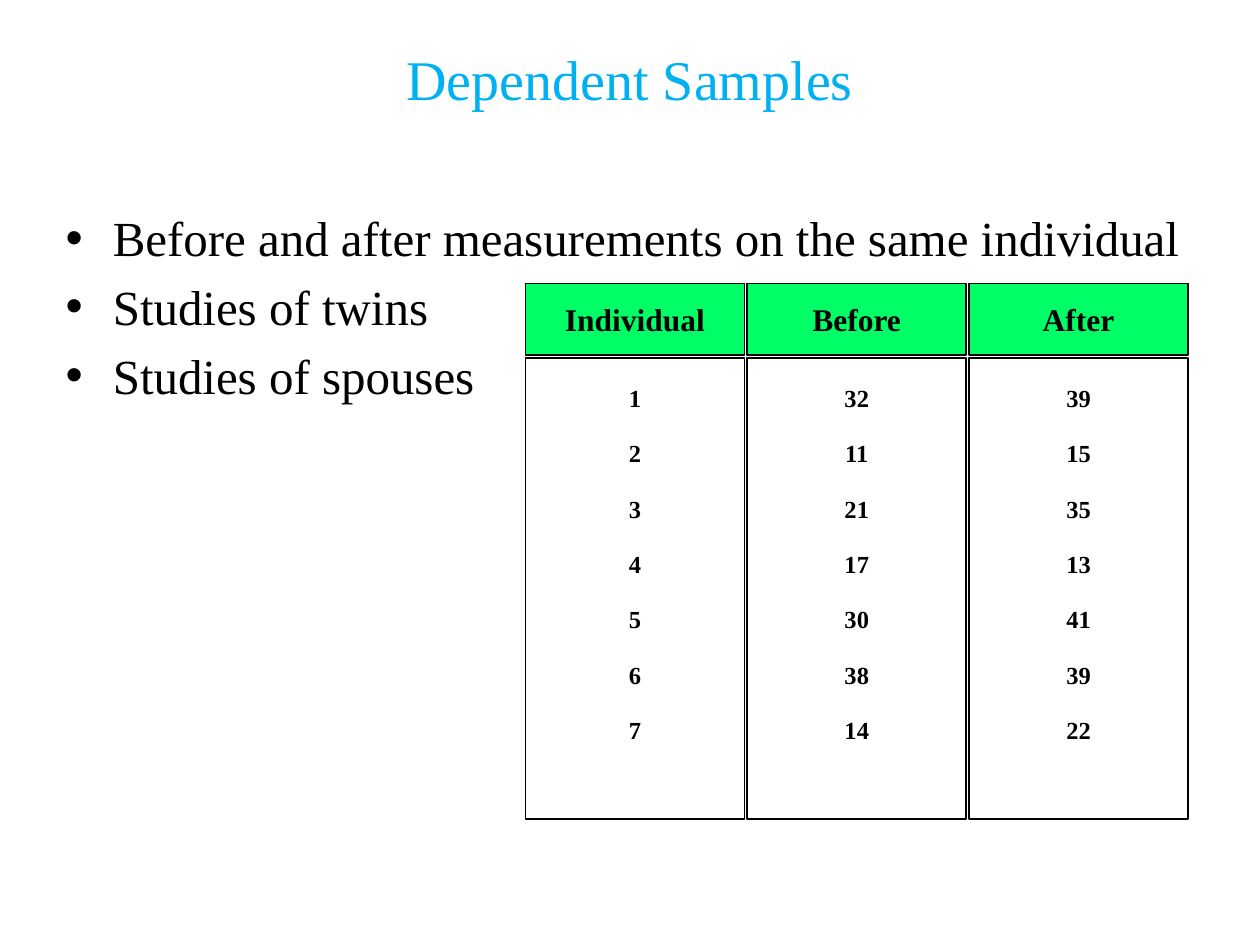
from pptx import Presentation
from pptx.dml.color import RGBColor
from pptx.enum.shapes import MSO_SHAPE as Shape
from pptx.enum.text import MSO_ANCHOR as Anchor, MSO_AUTO_SIZE as Fit, PP_ALIGN as Align
from pptx.util import Inches, Pt

BLACK = RGBColor(0x00, 0x00, 0x00)
WHITE = RGBColor(0xFF, 0xFF, 0xFF)
GREEN = RGBColor(0x00, 0xFF, 0x66)
BLUE = RGBColor(0x00, 0xB0, 0xF0)
FACE = "Times New Roman"

TITLE = "Dependent Samples"
POINTS = [
    "Before and after measurements on the same individual",
    "Studies of twins",
    "Studies of spouses",
]
DATA = {
    "Individual": [1, 2, 3, 4, 5, 6, 7],
    "Before": [32, 11, 21, 17, 30, 38, 14],
    "After": [39, 15, 35, 13, 41, 39, 22],
}
LEFT, STEP, WIDTH = 4.17, 1.76, 1.74
HEAD_TOP, HEAD_HIGH = 2.25, 0.57
BODY_TOP, BODY_HIGH = 2.84, 3.66

HEAD = {"size": Pt(18), "bold": True}
CELL = {"size": Pt(14), "bold": True}


def apply(item, form):
    """Set each attribute named in form on item."""
    for name, value in form.items():
        setattr(item, name, value)


def write(frame, lines, font, para, color=BLACK):
    """Fill a text frame with one paragraph per line."""
    frame.text = "\n".join(str(line) for line in lines)
    for item in frame.paragraphs:
        apply(item, para)
        for run in item.runs:
            apply(run.font, {"name": FACE, **font})
            run.font.color.rgb = color


def margins(side, top):
    """Return frame margins for the given side and top insets."""
    return {
        "margin_left": Inches(side),
        "margin_right": Inches(side),
        "margin_top": Inches(top),
        "margin_bottom": Inches(top),
    }


def fill_holder(holder, box, lines, font, para, color=BLACK):
    """Move a placeholder to box and write its text."""
    apply(holder, dict(zip(("left", "top", "width", "height"), map(Inches, box))))
    frame = holder.text_frame
    form = {"vertical_anchor": Anchor.TOP, "auto_size": Fit.NONE, "word_wrap": True}
    apply(frame, {**form, **margins(0.1, 0.1)})
    write(frame, lines, font, para, color)


def add_panel(group, box, fill, lines, font, gap, form):
    """Add one outlined panel of centred text to the group."""
    panel = group.shapes.add_shape(Shape.RECTANGLE, *map(Inches, box))
    panel.shadow.inherit = False
    panel.fill.solid()
    panel.fill.fore_color.rgb = fill
    panel.line.color.rgb = BLACK
    panel.line.width = Pt(1)
    apply(panel.text_frame, {"word_wrap": True, **form})
    write(panel.text_frame, lines, font, {"alignment": Align.CENTER, "space_before": gap})


def add_grid(slide):
    """Add a header panel and a value panel for each data column."""
    group = slide.shapes.add_group_shape()
    head = {"vertical_anchor": Anchor.MIDDLE, **margins(0.1, 0.05)}
    body = {"vertical_anchor": Anchor.TOP, **margins(0.2, 0.2)}
    for index, (name, values) in enumerate(DATA.items()):
        left = LEFT + index * STEP
        add_panel(group, (left, HEAD_TOP, WIDTH, HEAD_HIGH), GREEN, [name], HEAD, Pt(0), head)
        add_panel(group, (left, BODY_TOP, WIDTH, BODY_HIGH), WHITE, values, CELL, Pt(14.8), body)


def main():
    """Build the slide and save it."""
    deck = Presentation()
    apply(deck, {"slide_width": Inches(10), "slide_height": Inches(7.5)})
    slide = deck.slides.add_slide(deck.slide_layouts[1])
    title, body = slide.placeholders
    fill_holder(title, (0.21, 0.25, 9.58, 0.55), [TITLE],
                {"size": Pt(32)}, {"alignment": Align.CENTER}, BLUE)
    fill_holder(body, (0.42, 1.55, 9.17, 1.95), POINTS,
                {"size": Pt(28)}, {"alignment": Align.LEFT})
    add_grid(slide)
    deck.save("out.pptx")


if __name__ == "__main__":
    main()
